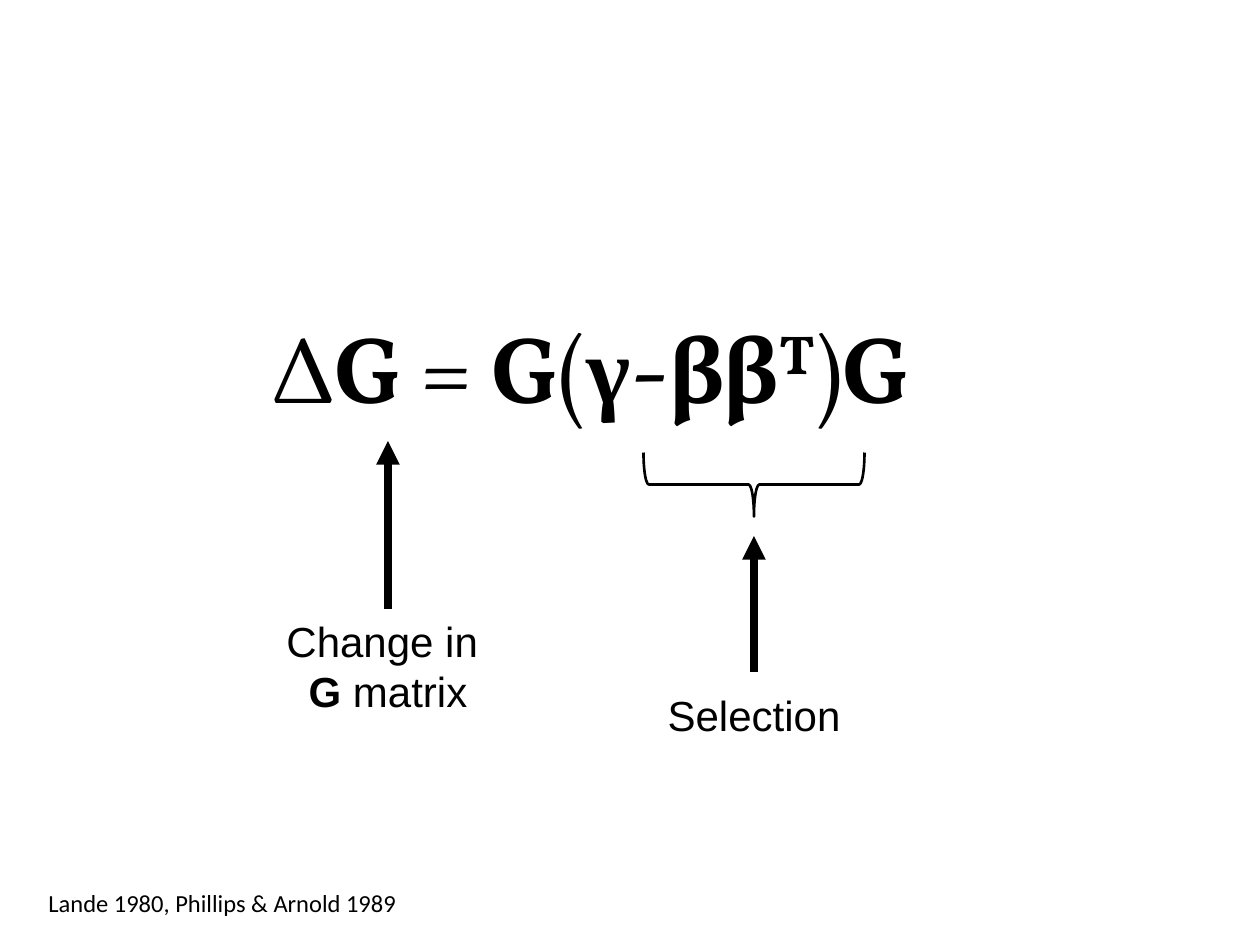
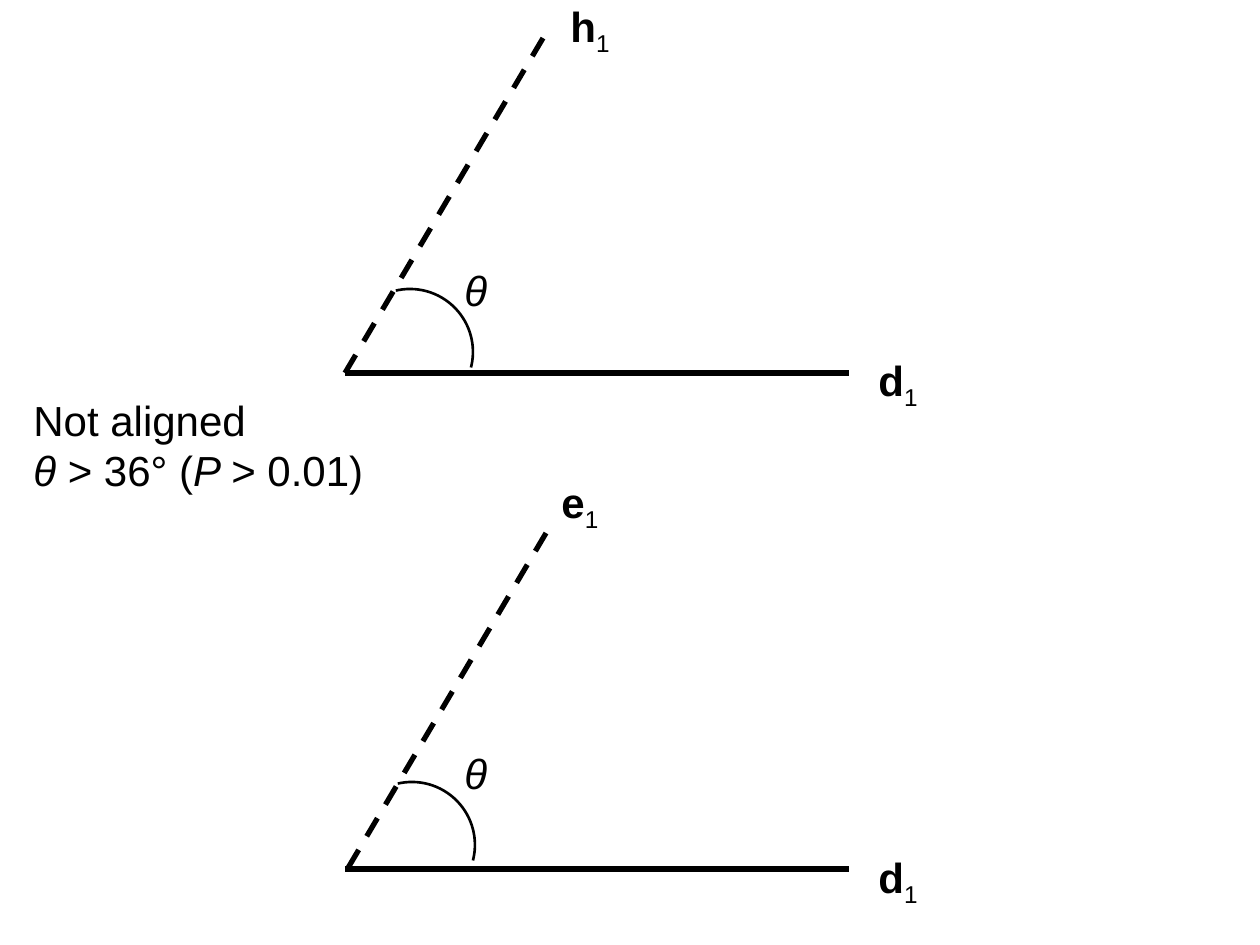
"""Builds two slides: the change in the G matrix, and the angles between vectors."""
from lxml import etree
from pptx import Presentation
from pptx.dml.color import RGBColor
from pptx.enum.dml import MSO_LINE
from pptx.enum.shapes import MSO_CONNECTOR, MSO_SHAPE
from pptx.enum.text import MSO_ANCHOR, MSO_AUTO_SIZE, PP_ALIGN
from pptx.oxml.ns import qn
from pptx.util import Emu, Pt

STRAIGHT = MSO_CONNECTOR.STRAIGHT
ARC, LEFT_BRACE = MSO_SHAPE.ARC, MSO_SHAPE.LEFT_BRACE
DASH = MSO_LINE.DASH
MIDDLE = MSO_ANCHOR.MIDDLE
FIT_SHAPE = MSO_AUTO_SIZE.SHAPE_TO_FIT_TEXT
LEFT, CENTER = PP_ALIGN.LEFT, PP_ALIGN.CENTER

BLACK = RGBColor(0, 0, 0)
SCALE = 914400 / 126
SLIDE_SIZE = (1260, 945)
LABEL_FONT, LABEL_SIZE = "Arial", 24
EQUATION_FONT, EQUATION_SIZE = "Vollkorn", 54
GREEK_FONT = "Times New Roman"
CITATION_FONT, CITATION_SIZE = "Calibri", 14
THIN, MEDIUM, THICK = 1.5, 3, 4.5
SUPERSCRIPT, SUBSCRIPT = 30000, -25000

EQUATION = [[("∆", ""), ("G ", "b"), ("= ", ""), ("G", "b"), ("(", ""), ("γ", "bg"),
             ("-", ""), ("ββ", "b"), ("T", "b^"), (")", ""), ("G", "b")]]
EQUATION_AT = (247, 302, 766, 127)
EQUATION_RIGHT_MARGIN = 90
BRACE_AT = (722, 374, 64, 221)
CHANGE = [[("Change in ", "")], [("G", "b"), (" matrix", "")]]
CHANGE_AT = (272, 609, 232, 115)
CHANGE_ARROW = ((388, 609), (388, 441))
SELECTION = [[("Selection", "")]]
SELECTION_AT = (654, 683, 200, 63)
SELECTION_ARROW = ((754, 672), (754, 536))
CITATION = [[("Lande 1980, Phillips & Arnold 1989", "")]]
CITATION_AT = (34, 882, 377, 43)

VERDICT = [[("Not aligned", "")],
           [("θ ", "i"), ("> 36° (", ""), ("P ", "i"), ("> 0.01)", "")]]
VERDICT_AT = (21, 388, 358, 115)
THETA = [[("θ", "i")]]
BASE_LEFT, BASE_RIGHT = 345, 849
BASE_LABEL_LEFT, THETA_LEFT = 866, 452
RAY_RUN, RAY_RISE = 204, 345
ARC_SIZE, ARC_ROTATION, ARC_ENDS = 126, 349.4, (160.612, 14.926)
ANGLES = [
    {"vector": "h", "base": 373, "ray": (345, 373), "arc": (347, 289),
     "base label": 348, "ray label": (558, -6), "theta": 258},
    {"vector": "e", "base": 869, "ray": (348, 868), "arc": (349, 782),
     "base label": 845, "ray label": (549, 470), "theta": 741},
]


def px(value):
    return Emu(round(value * SCALE))


def add_text(page, at, paragraphs, font=LABEL_FONT, size=LABEL_SIZE, align=LEFT, wrap=False):
    box = page.shapes.add_textbox(*map(px, at))
    frame = box.text_frame
    frame.word_wrap = wrap
    frame.auto_size = FIT_SHAPE
    for index, spans in enumerate(paragraphs):
        para = frame.add_paragraph() if index else frame.paragraphs[0]
        para.alignment = align
        for text, marks in spans:
            span = para.add_run()
            span.text = text
            span.font.name = GREEK_FONT if "g" in marks else font
            span.font.size = Pt(size)
            span.font.color.rgb = BLACK
            span.font.bold = "b" in marks
            span.font.italic = "i" in marks
            for mark, shift in (("^", SUPERSCRIPT), ("_", SUBSCRIPT)):
                if mark in marks:
                    span._r.get_or_add_rPr().set("baseline", str(shift))
    return box


def add_line(page, start, end, width, dashed=False, arrow=False):
    connector = page.shapes.add_connector(STRAIGHT, *map(px, start + end))
    connector.line.color.rgb = BLACK
    connector.line.width = Pt(width)
    if dashed:
        connector.line.dash_style = DASH
    if arrow:
        outline = connector.line._get_or_add_ln()
        etree.SubElement(outline, qn("a:tailEnd"), type="triangle")
    etree.SubElement(connector._element.spPr, qn("a:effectLst"))
    return connector


def add_outline(page, kind, at, rotation):
    shape = page.shapes.add_shape(kind, *map(px, at))
    shape.rotation = rotation
    shape.shadow.inherit = False
    shape.fill.background()
    shape.line.color.rgb = BLACK
    shape.line.width = Pt(THIN)
    return shape


def build_equation(page):
    equation = add_text(page, EQUATION_AT, EQUATION, EQUATION_FONT, EQUATION_SIZE, CENTER, True)
    equation.text_frame.vertical_anchor = MIDDLE
    equation.text_frame.margin_right = px(EQUATION_RIGHT_MARGIN)
    add_outline(page, LEFT_BRACE, BRACE_AT, 270)
    change = add_text(page, CHANGE_AT, CHANGE, align=CENTER)
    add_line(page, *CHANGE_ARROW, THICK, arrow=True).begin_connect(change, 0)
    add_text(page, SELECTION_AT, SELECTION, align=CENTER)
    add_line(page, *SELECTION_ARROW, THICK, arrow=True)
    add_text(page, CITATION_AT, CITATION, CITATION_FONT, CITATION_SIZE, CENTER)


def add_vector_label(page, left, top, letter):
    add_text(page, (left, top, 67, 63), [[(letter, "b"), ("1", "_")]])


def build_angles(page):
    for angle in ANGLES:
        add_line(page, (BASE_LEFT, angle["base"]), (BASE_RIGHT, angle["base"]), MEDIUM)
        left, bottom = angle["ray"]
        add_line(page, (left, bottom), (left + RAY_RUN, bottom - RAY_RISE), MEDIUM, dashed=True)
        arc = add_outline(page, ARC, angle["arc"] + (ARC_SIZE, ARC_SIZE), ARC_ROTATION)
        for index, end in enumerate(ARC_ENDS):
            arc.adjustments[index] = end
        add_vector_label(page, BASE_LABEL_LEFT, angle["base label"], "d")
        add_vector_label(page, *angle["ray label"], angle["vector"])
        add_text(page, (THETA_LEFT, angle["theta"], 48, 63), THETA)
    add_text(page, VERDICT_AT, VERDICT)


def main():
    deck = Presentation()
    deck.slide_width, deck.slide_height = map(px, SLIDE_SIZE)
    for build in (build_equation, build_angles):
        build(deck.slides.add_slide(deck.slide_layouts[6]))
    deck.save("out.pptx")


if __name__ == "__main__":
    main()
